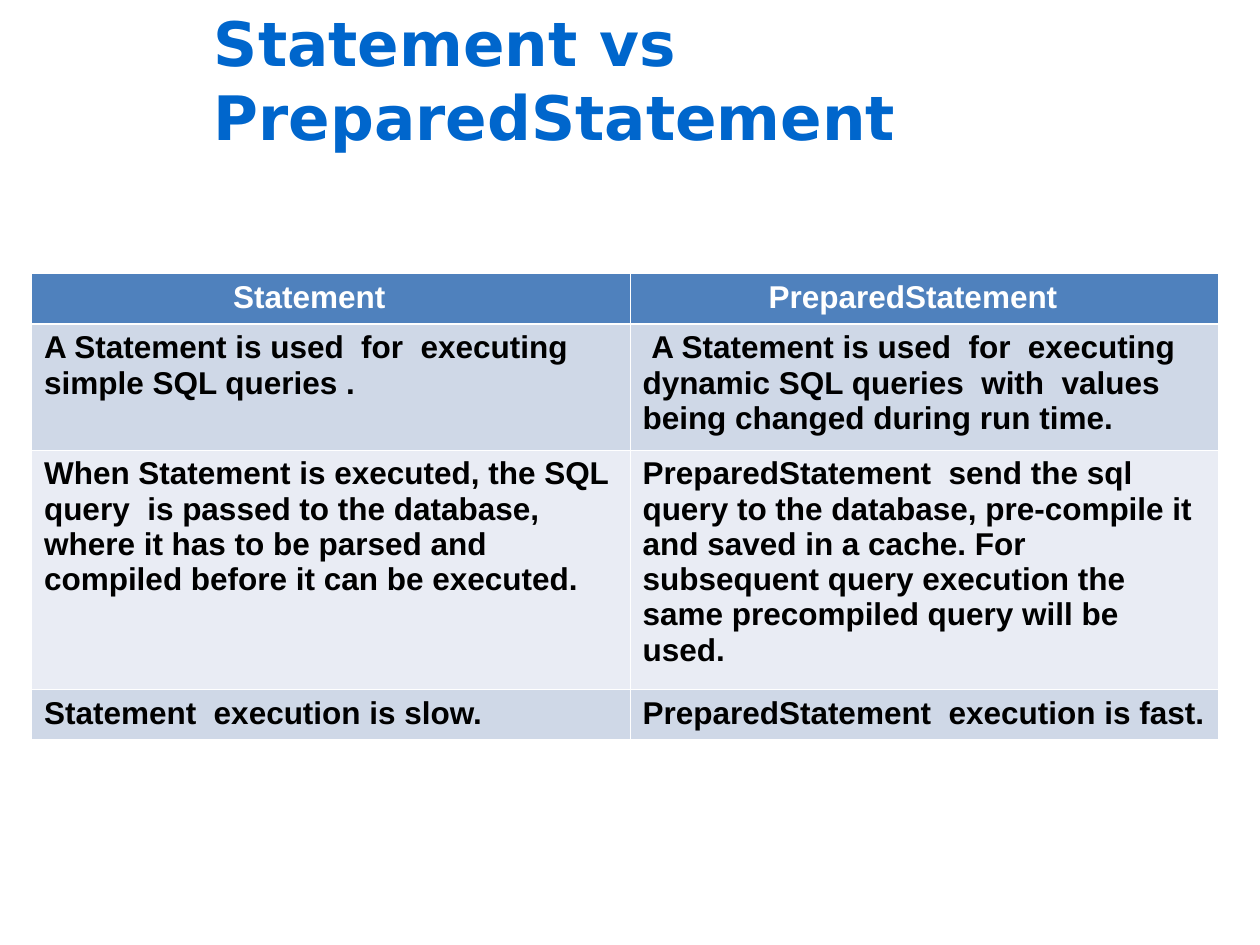
from pptx import Presentation
from pptx.dml.color import RGBColor
from pptx.enum.text import MSO_ANCHOR
from pptx.oxml.ns import qn
from pptx.util import Inches, Pt
from lxml.etree import SubElement

COLORS = {
    "title": "0066CC",
    "header": "4F81BD",
    "band_dark": "CFD8E7",
    "band_light": "E9ECF4",
    "white": "FFFFFF",
    "black": "000000",
}


def write(tf, text, size=18, font="Arial", color="black", margin=0, indent=0):
    """Fill a text frame with one bold paragraph."""
    tf.word_wrap = True
    p = tf.paragraphs[0]
    pPr = p._p.get_or_add_pPr()
    pPr.set("marL", str(Inches(margin)))
    pPr.set("indent", str(Inches(indent)))
    r = p.add_run()
    r.text = text
    r.font.size = Pt(size)
    r.font.name = font
    r.font.bold = True
    r.font.color.rgb = RGBColor.from_string(COLORS[color])


def add_border(cell, side, width):
    """Draw one white edge of a cell."""
    ln = SubElement(cell._tc.get_or_add_tcPr(), qn(f"a:ln{side}"), w=str(Pt(width)))
    fill = SubElement(ln, qn("a:solidFill"))
    SubElement(fill, qn("a:srgbClr"), val=COLORS["white"])


prs = Presentation()
prs.slide_width, prs.slide_height = Inches(10), Inches(7.5)
s = prs.slides.add_slide(prs.slide_layouts[6])

# Title
sp = s.shapes.add_textbox(Inches(1.5), Inches(0), Inches(8.5), Inches(1.25))
sp.text_frame.vertical_anchor = MSO_ANCHOR.MIDDLE
write(sp.text_frame, "Statement vs PreparedStatement", size=35,
      font="DejaVu Sans", color="title", margin=0.1)

# Comparison table
rows = [
    ("Statement", "PreparedStatement"),
    ("A Statement is used  for  executing simple SQL queries .",
     "A Statement is used  for  executing dynamic SQL queries  with  values "
     "being changed during run time."),
    ("When Statement is executed, the SQL query  is passed to the database, "
     "where it has to be parsed and compiled before it can be executed.",
     "PreparedStatement  send the sql query to the database, pre-compile it "
     "and saved in a cache. For subsequent query execution the same "
     "precompiled query will be used."),
    ("Statement  execution is slow.", "PreparedStatement  execution is fast."),
]
col_widths = [4.75, 4.67]
row_heights = [0.4, 1, 1.9, 0.4]
row_fills = ["header", "band_dark", "band_light", "band_dark"]
header_margins = [1.5, 1]

table = s.shapes.add_table(len(rows), len(col_widths), Inches(0.25), Inches(2.17),
                           Inches(sum(col_widths)), Inches(sum(row_heights))).table
for col, width in zip(table.columns, col_widths):
    col.width = Inches(width)

for i, texts in enumerate(rows):
    table.rows[i].height = Inches(row_heights[i])
    for j, text in enumerate(texts):
        cell = table.cell(i, j)
        # The rule under the header is heavier than the others
        for side in "LRTB":
            heavy = (i, side) in [(0, "B"), (1, "T")]
            add_border(cell, side, 1.47 if heavy else 0.45)
        cell.fill.solid()
        cell.fill.fore_color.rgb = RGBColor.from_string(COLORS[row_fills[i]])
        write(cell.text_frame, text,
              color="white" if i == 0 else "black",
              margin=header_margins[j] if i == 0 else 0,
              indent=0.07 if (i, j) == (1, 1) else 0)

prs.save("out.pptx")
